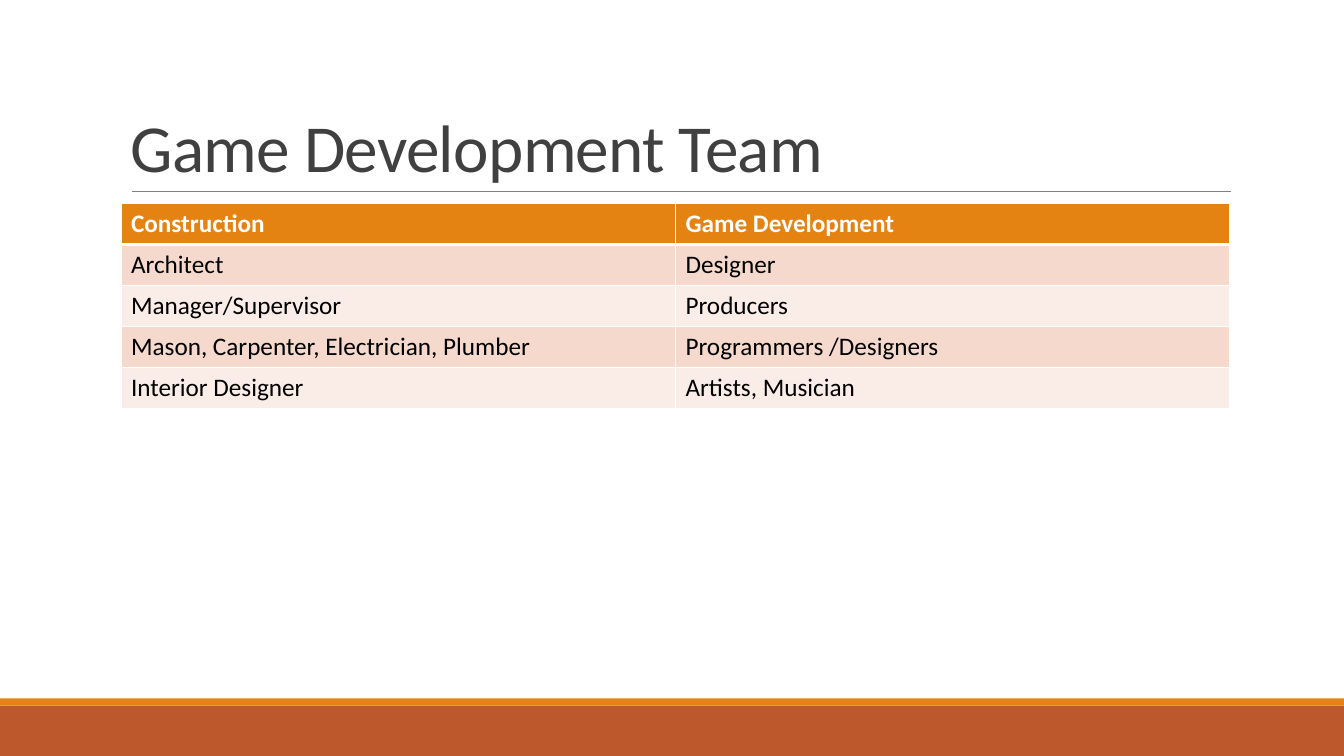
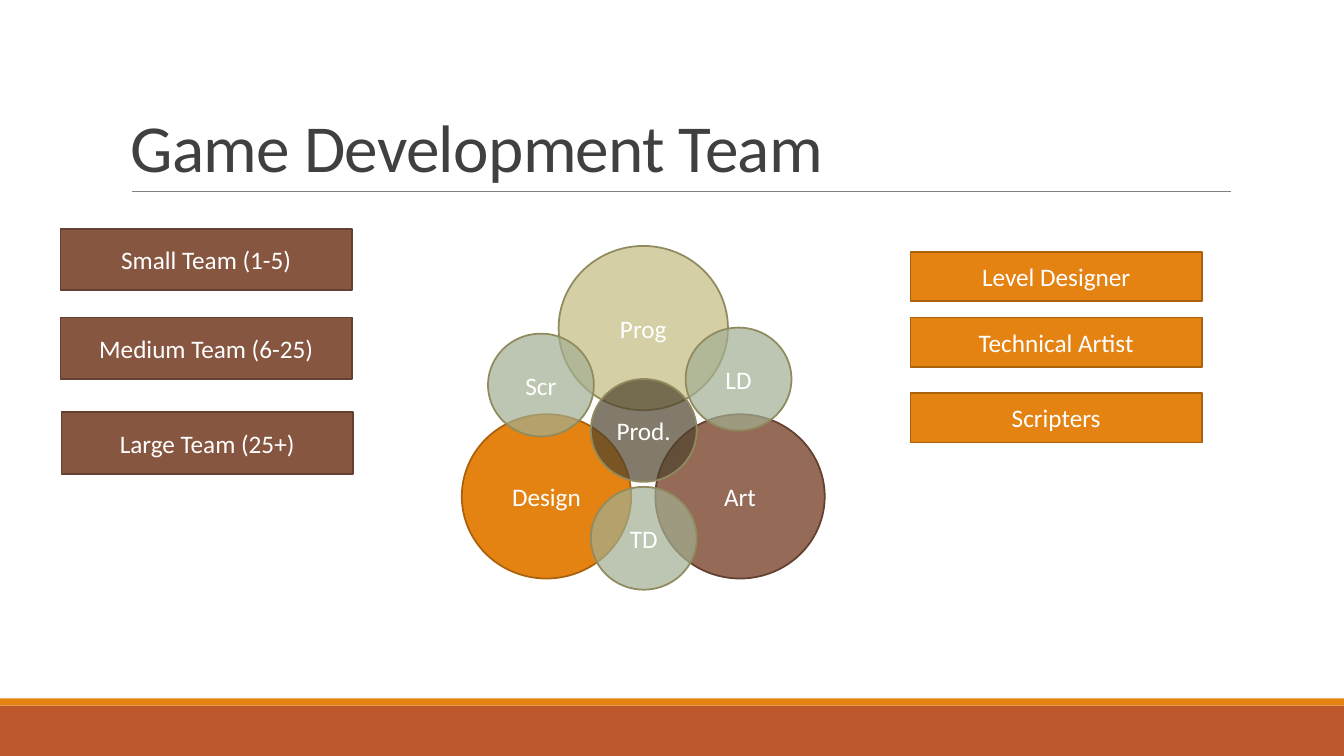
from dataclasses import dataclass

from lxml.etree import SubElement
from pptx import Presentation
from pptx.dml.color import RGBColor
from pptx.enum.shapes import MSO_CONNECTOR, MSO_SHAPE
from pptx.enum.text import MSO_ANCHOR, PP_ALIGN
from pptx.oxml.ns import qn
from pptx.util import Emu, Pt

SCALE = 9144  # EMU in one px, 100 px to the inch
WIDE, HIGH = 1333, 750
FONT = "Calibri"
TITLE = "Game Development Team"
COLORS = {
    "white": "FFFFFF", "black": "000000", "title": "404040", "rule": "808080",
    "rust": "BD582C", "orange": "E48312", "amber": "A9610D",
    "brown": "865640", "umber": "63402F", "sand": "C2BC80", "olive": "908B5F",
    "dark": "4E422C", "sage": "A2AF92", "odd": "F5D9CC", "even": "FAEDE7",
}
ROWS = [
    ("Construction", "Game Development"),
    ("Architect", "Designer"),
    ("Manager/Supervisor", "Producers"),
    ("Mason, Carpenter, Electrician, Plumber", "Programmers /Designers"),
    ("Interior Designer", "Artists, Musician"),
]


@dataclass(frozen=True)
class Style:
    fill: str
    line: str
    wide: int
    high: int
    kind: MSO_SHAPE = MSO_SHAPE.RECTANGLE
    alpha: int = 100


@dataclass(frozen=True)
class Item:
    text: str
    left: int
    top: int
    style: Style


OVAL = MSO_SHAPE.OVAL
SIZE = Style("brown", "umber", 289, 61)
ROLE = Style("orange", "amber", 289, 49)
DESIGN = Style("orange", "amber", 168, 163, OVAL)
PROG = Style("sand", "olive", 168, 163, OVAL, 70)
ART = Style("brown", "umber", 168, 163, OVAL, 87)
LEAD = Style("dark", "olive", 105, 102, OVAL, 70)
LINK = Style("sage", "olive", 105, 102, OVAL, 70)

ITEMS = [
    Item("Small Team (1-5)", 60, 227, SIZE),
    Item("Medium Team (6-25)", 60, 315, SIZE),
    Item("Large Team (25+)", 61, 409, SIZE),
    Item("Level Designer", 903, 250, ROLE),
    Item("Technical Artist", 903, 315, ROLE),
    Item("Scripters", 903, 390, ROLE),
    Item("Design", 458, 411, DESIGN),
    Item("Prog", 554, 244, PROG),
    Item("Art", 650, 411, ART),
    Item("Prod.", 586, 376, LEAD),
    Item("LD", 680, 325, LINK),
    Item("TD", 586, 483, LINK),
    Item("Scr", 484, 331, LINK),
]


def px(*nums: int) -> list[Emu]:
    return [Emu(num * SCALE) for num in nums]


def rgb(name: str) -> RGBColor:
    return RGBColor.from_string(COLORS[name])


def paint(obj, name: str) -> None:
    """Give a shape or a table cell a solid fill."""
    obj.fill.solid()
    obj.fill.fore_color.rgb = rgb(name)


def write(frame, text: str, color: str, size: int = 18, bold: bool = False):
    frame.text = text
    run = frame.paragraphs[0].runs[0]
    font = run.font
    font.name, font.size, font.bold = FONT, Pt(size), bold
    font.color.rgb = rgb(color)
    return run


def add_band(slide, top: int, high: int, color: str) -> None:
    band = slide.shapes.add_shape(MSO_SHAPE.RECTANGLE, *px(0, top, WIDE, high))
    band.shadow.inherit = False
    paint(band, color)
    band.line.fill.background()


def add_frame(deck):
    """Add a slide with the bands, rule and title that all slides share."""
    slide = deck.slides.add_slide(deck.slide_layouts[6])
    add_band(slide, 700, 50, "rust")
    add_band(slide, 693, 7, "orange")
    rule = slide.shapes.add_connector(
        MSO_CONNECTOR.STRAIGHT, *px(131, 190, 1221, 190))
    rule.line.color.rgb = rgb("rule")
    rule.line.width = Pt(0.5)
    SubElement(rule.element.spPr, qn("a:effectLst"))
    frame = slide.shapes.add_textbox(*px(120, 31, 1100, 159)).text_frame
    frame.word_wrap = True
    frame.vertical_anchor = MSO_ANCHOR.BOTTOM
    run = write(frame, TITLE, "title", 48)
    run.font.element.set("spc", "-50") if hasattr(run.font, "element") else \
        run._r.get_or_add_rPr().set("spc", "-50")
    frame.paragraphs[0].line_spacing = 0.85
    return slide


def add_edges(cell, top: int, low: int) -> None:
    """Draw white cell borders, with top and bottom widths in points."""
    props = cell._tc.get_or_add_tcPr()
    edges = {"lnL": 1, "lnR": 1, "lnT": top, "lnB": low}
    for spot, (tag, width) in enumerate(edges.items()):
        edge = SubElement(props, qn(f"a:{tag}"), w=str(Pt(width)))
        fill = SubElement(edge, qn("a:solidFill"))
        SubElement(fill, qn("a:srgbClr"), val=COLORS["white"])
        props.insert(spot, edge)


def add_grid(slide) -> None:
    grid = slide.shapes.add_table(
        len(ROWS), len(ROWS[0]), *px(120, 202, 1100, 203)).table
    for row, texts in enumerate(ROWS):
        head = row == 0
        fill = "orange" if head else "odd" if row % 2 else "even"
        for col, text in enumerate(texts):
            cell = grid.cell(row, col)
            paint(cell, fill)
            write(cell.text_frame, text, "white" if head else "black", bold=head)
            add_edges(cell, 3 if row == 1 else 1, 3 if head else 1)


def add_item(slide, item: Item) -> None:
    style = item.style
    shape = slide.shapes.add_shape(
        style.kind, *px(item.left, item.top, style.wide, style.high))
    shape.shadow.inherit = False
    paint(shape, style.fill)
    if style.alpha < 100:
        color = shape.element.spPr.find(qn("a:solidFill"))[0]
        SubElement(color, qn("a:alpha"), val=str(style.alpha * 1000))
    shape.line.color.rgb = rgb(style.line)
    shape.line.width = Pt(1.25)
    frame = shape.text_frame
    frame.vertical_anchor = MSO_ANCHOR.MIDDLE
    write(frame, item.text, "white")
    frame.paragraphs[0].alignment = PP_ALIGN.CENTER


def main() -> None:
    deck = Presentation()
    deck.slide_width, deck.slide_height = px(WIDE, HIGH)
    add_grid(add_frame(deck))
    team = add_frame(deck)
    for item in ITEMS:
        add_item(team, item)
    deck.save("out.pptx")


if __name__ == "__main__":
    main()
